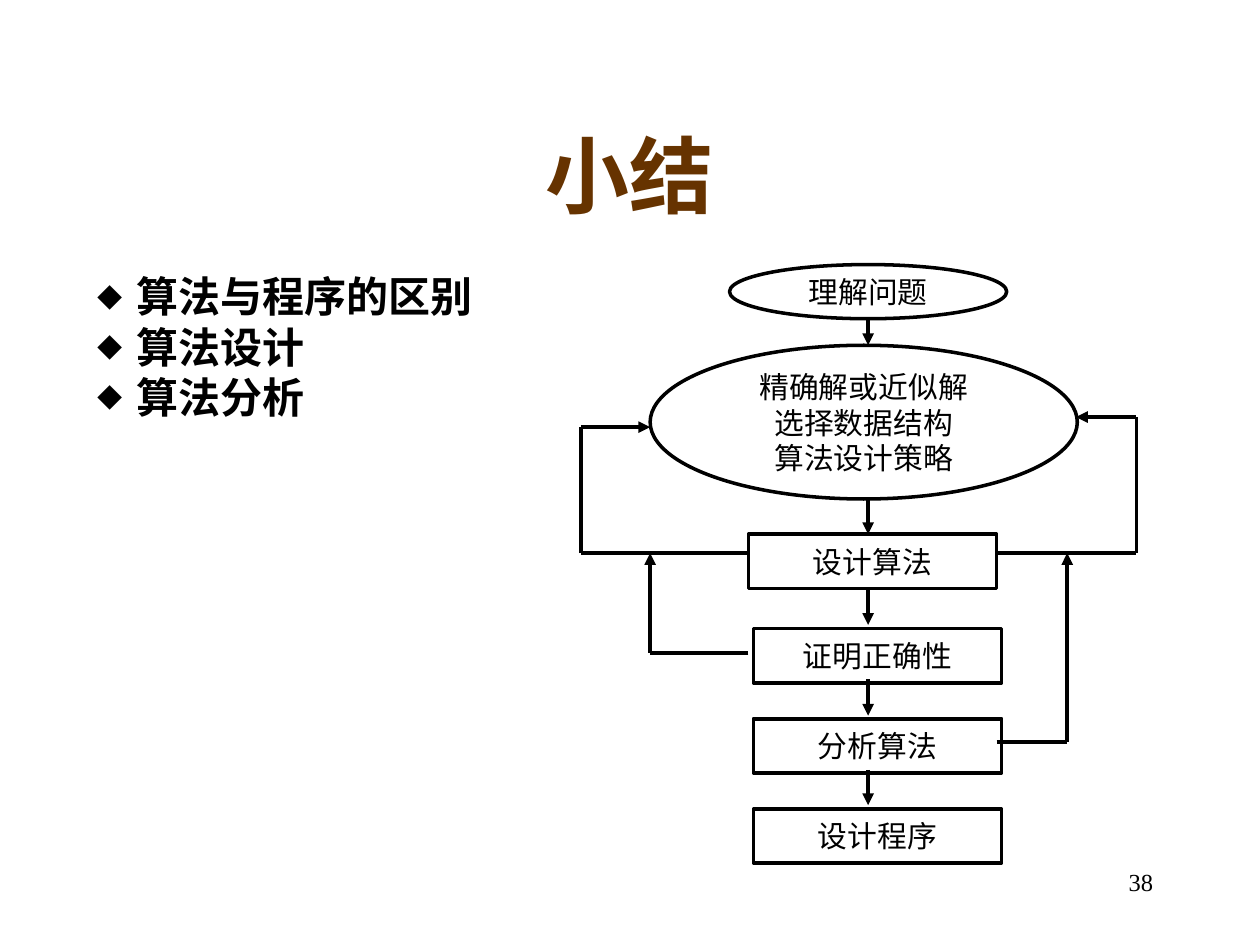
import pptx
import pptx.dml.color
import pptx.enum.shapes
import pptx.enum.text
import pptx.oxml
import pptx.oxml.ns
import pptx.util

Inches = pptx.util.Inches
Pt = pptx.util.Pt
SHAPE = pptx.enum.shapes.MSO_SHAPE
ALIGN = pptx.enum.text.PP_ALIGN
ANCHOR = pptx.enum.text.MSO_ANCHOR
NO_FIT = pptx.enum.text.MSO_AUTO_SIZE.NONE

CENTER_X = 6.89
BRANCH_Y = 4.39
STEP_LEFT, STEP_TOP, STEP_PITCH = 5.98, 4.99, 0.715
STEP_W, STEP_H = 1.97, 0.43

TITLE_FONT = {"name": "Times New Roman", "size": Pt(48), "bold": True}
LIST_FONT = {"name": "Noto Sans CJK SC", "size": Pt(24), "bold": True}
NODE_FONT = {"name": "Arial", "size": Pt(17)}
NUMBER_FONT = {"name": "Times New Roman", "size": Pt(14)}


def color(value):
    return pptx.dml.color.RGBColor.from_string(value)


def add_xml(parent, xml):
    ns = pptx.oxml.ns.nsdecls("a")
    parent.append(pptx.oxml.parse_xml(xml.replace("/>", f" {ns}/>", 1)))


def set_text(tf, lines, font, hex_color="000000", para=None):
    tf.text = "\n".join(lines)
    for p in tf.paragraphs:
        for key, value in (para or {}).items():
            setattr(p, key, value)
        for r in p.runs:
            for key, value in font.items():
                setattr(r.font, key, value)
            r.font.color.rgb = color(hex_color)


def place(sp, box):
    for key, value in zip(("left", "top", "width", "height"), box):
        setattr(sp, key, Inches(value))


def add_title(s):
    sp = s.shapes.title
    place(sp, (0.75, 0.67, 8.5, 1.42))
    tf = sp.text_frame
    tf.auto_size = NO_FIT
    tf.vertical_anchor = ANCHOR.MIDDLE
    set_text(tf, ["小结"], TITLE_FONT, "663300", {"alignment": ALIGN.CENTER})


def add_list(s):
    sp = s.placeholders[1]
    place(sp, (0.67, 2.1, 3.23, 1.3))
    tf = sp.text_frame
    tf.auto_size = NO_FIT
    tf.word_wrap = False
    para = {"line_spacing": Pt(28.8), "space_before": Pt(0)}
    set_text(tf, ["算法与程序的区别", "算法设计", "算法分析"], LIST_FONT, para=para)
    for p in tf.paragraphs:
        pPr = p._p.get_or_add_pPr()
        pPr.set("marL", str(Inches(0.31)))
        pPr.set("indent", str(-Inches(0.31)))
        add_xml(pPr, '<a:buSzPct val="60000"/>')
        add_xml(pPr, '<a:buFont typeface="Noto Sans CJK SC"/>')
        add_xml(pPr, '<a:buChar char="◆"/>')


def add_node(s, kind, box, lines):
    sp = s.shapes.add_shape(kind, *map(Inches, box))
    sp.shadow.inherit = False
    sp.fill.solid()
    sp.fill.fore_color.rgb = color("FFFFFF")
    sp.line.color.rgb = color("000000")
    sp.line.width = Pt(2)
    tf = sp.text_frame
    tf.word_wrap = False
    tf.vertical_anchor = ANCHOR.MIDDLE
    set_text(tf, lines, NODE_FONT, para={"alignment": ALIGN.CENTER})


def add_line(s, start, end, arrow=False):
    sp = s.shapes.add_connector(
        pptx.enum.shapes.MSO_CONNECTOR.STRAIGHT, *map(Inches, start + end))
    sp.line.color.rgb = color("000000")
    sp.line.width = Pt(2.25)
    if arrow:
        add_xml(sp.line._get_or_add_ln(), '<a:tailEnd type="triangle"/>')
    add_xml(sp._element.spPr, "<a:effectLst/>")


def add_route(s, points):
    last = len(points) - 2
    for i, (start, end) in enumerate(zip(points, points[1:])):
        add_line(s, start, end, arrow=i == last)


def add_number(s):
    sp = s.shapes.add_textbox(*map(Inches, (7.17, 6.83, 2.08, 0.5)))
    sp.text_frame.word_wrap = True
    set_text(sp.text_frame, ["38"], NUMBER_FONT, para={"alignment": ALIGN.RIGHT})


def add_flowchart(s):
    for i, label in enumerate(["证明正确性", "分析算法", "设计程序"]):
        box = (STEP_LEFT, STEP_TOP + i * STEP_PITCH, STEP_W, STEP_H)
        add_node(s, SHAPE.RECTANGLE, box, [label])
    add_node(s, SHAPE.OVAL, (5.79, 2.1, 2.2, 0.43), ["理解问题"])
    add_node(s, SHAPE.OVAL, (5.16, 2.74, 3.39, 1.22),
             ["精确解或近似解", "选择数据结构", "算法设计策略"])
    add_node(s, SHAPE.RECTANGLE, (5.94, 4.24, STEP_W, STEP_H), ["设计算法"])

    for top, bottom in [(2.53, 2.74), (3.96, 4.24), (4.67, 4.96),
                        (5.39, 5.68), (6.11, 6.39)]:
        add_line(s, (CENTER_X, top), (CENTER_X, bottom), arrow=True)

    add_route(s, [(5.94, BRANCH_Y), (4.61, BRANCH_Y), (4.61, 3.39), (5.16, 3.39)])
    add_route(s, [(7.91, BRANCH_Y), (9.02, BRANCH_Y), (9.02, 3.31), (8.54, 3.31)])
    add_route(s, [(5.94, 5.18), (5.16, 5.18), (5.16, BRANCH_Y)])
    add_route(s, [(7.91, 5.89), (8.47, 5.89), (8.47, BRANCH_Y)])


def main():
    prs = pptx.Presentation()
    prs.slide_width, prs.slide_height = Inches(10), Inches(7.5)
    s = prs.slides.add_slide(prs.slide_layouts[1])
    add_number(s)
    add_flowchart(s)
    add_title(s)
    add_list(s)
    prs.save("out.pptx")


if __name__ == "__main__":
    main()
